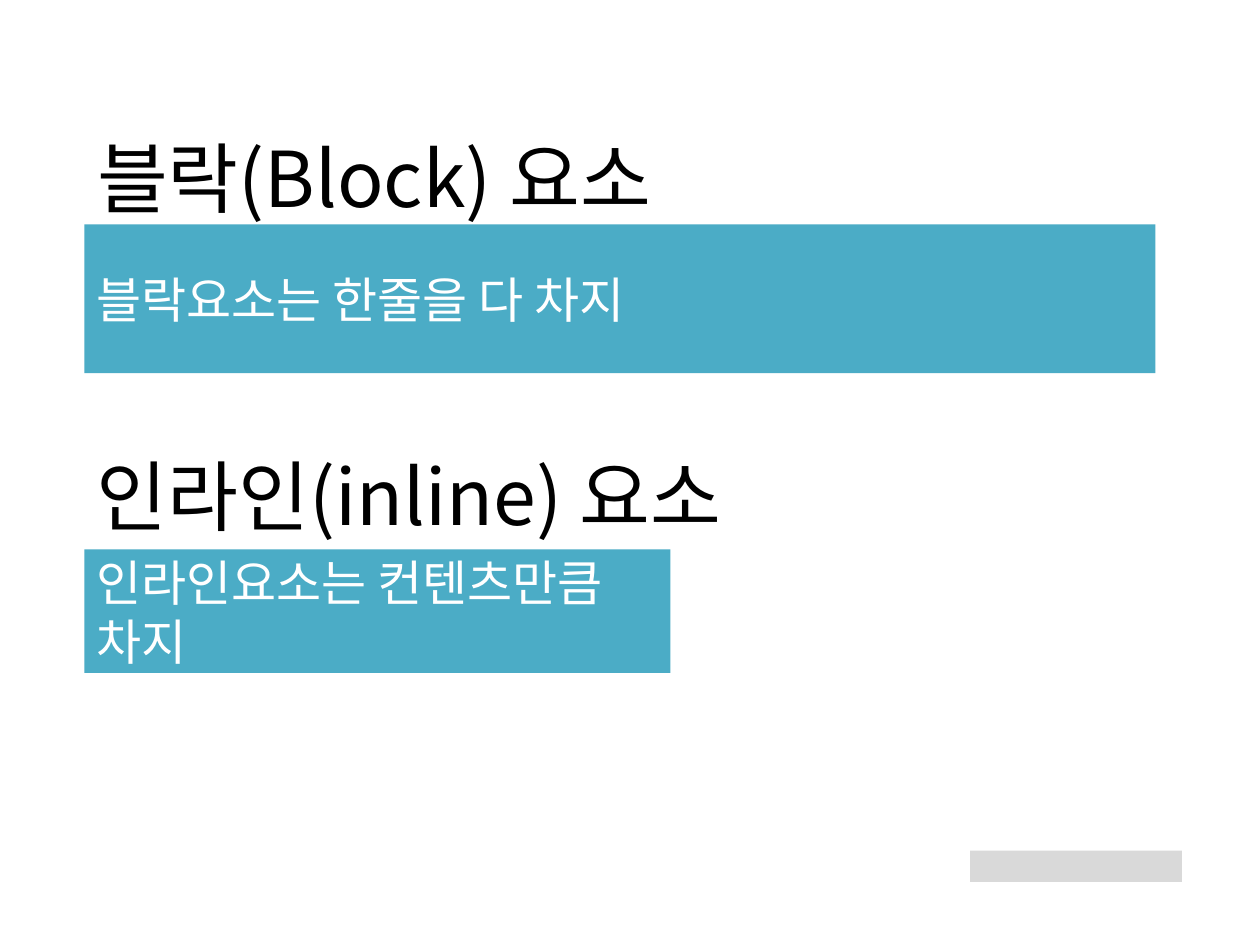
from lxml import etree
from pptx import Presentation
from pptx.dml.color import RGBColor
from pptx.enum import shapes, text
from pptx.oxml.ns import qn
from pptx.util import Pt

FONT = "Noto Sans CJK KR"
BLACK = RGBColor(0x00, 0x00, 0x00)
WHITE = RGBColor(0xFF, 0xFF, 0xFF)
TEAL = RGBColor(0x4B, 0xAC, 0xC6)
GREY = RGBColor(0xD9, 0xD9, 0xD9)

LEFT, WIDTH = 48.25, 612
HEADING_H = 116
HEADINGS = [("블락(Block) 요소", 43.2), ("인라인(inline) 요소", 224.6)]
BARS = [("블락요소는 한줄을 다 차지", 128.2, WIDTH, 85),
        ("인라인요소는 컨텐츠만큼 차지", 313.9, 334.8, 70.6)]
FOOTER_BOX = (554.4, 486, 121, 18)


def write(sp, words, size, color):
    tf = sp.text_frame
    frame = dict(word_wrap=True, vertical_anchor=text.MSO_ANCHOR.MIDDLE,
                 auto_size=text.MSO_AUTO_SIZE.NONE)
    for key, value in frame.items():
        setattr(tf, key, value)
    p = tf.paragraphs[0]
    p.alignment = text.PP_ALIGN.LEFT
    r = p.add_run()
    r.text = words
    for key, value in dict(name=FONT, size=Pt(size)).items():
        setattr(r.font, key, value)
    r.font.color.rgb = color
    etree.SubElement(r.font._element, qn("a:ea"), typeface=FONT)


def add_block(s, box, color):
    sp = s.shapes.add_shape(shapes.MSO_SHAPE.RECTANGLE, *[Pt(v) for v in box])
    sp.shadow.inherit = False
    sp.fill.solid()
    sp.fill.fore_color.rgb = color
    sp.line.fill.background()
    return sp


def main():
    prs = Presentation()
    prs.slide_width, prs.slide_height = Pt(720), Pt(540)
    s = prs.slides.add_slide(prs.slide_layouts[5])

    for i, (words, top) in enumerate(HEADINGS):
        box = [Pt(v) for v in (LEFT, top, WIDTH, HEADING_H)]
        if i == 0:
            sp = s.shapes.title
            sp.left, sp.top, sp.width, sp.height = box
        else:
            sp = s.shapes.add_textbox(*box)
        write(sp, words, 44, BLACK)

    for words, top, width, height in BARS:
        sp = add_block(s, (LEFT, top, width, height), TEAL)
        write(sp, words, 28, WHITE)

    add_block(s, FOOTER_BOX, GREY)

    prs.save("out.pptx")


if __name__ == "__main__":
    main()
